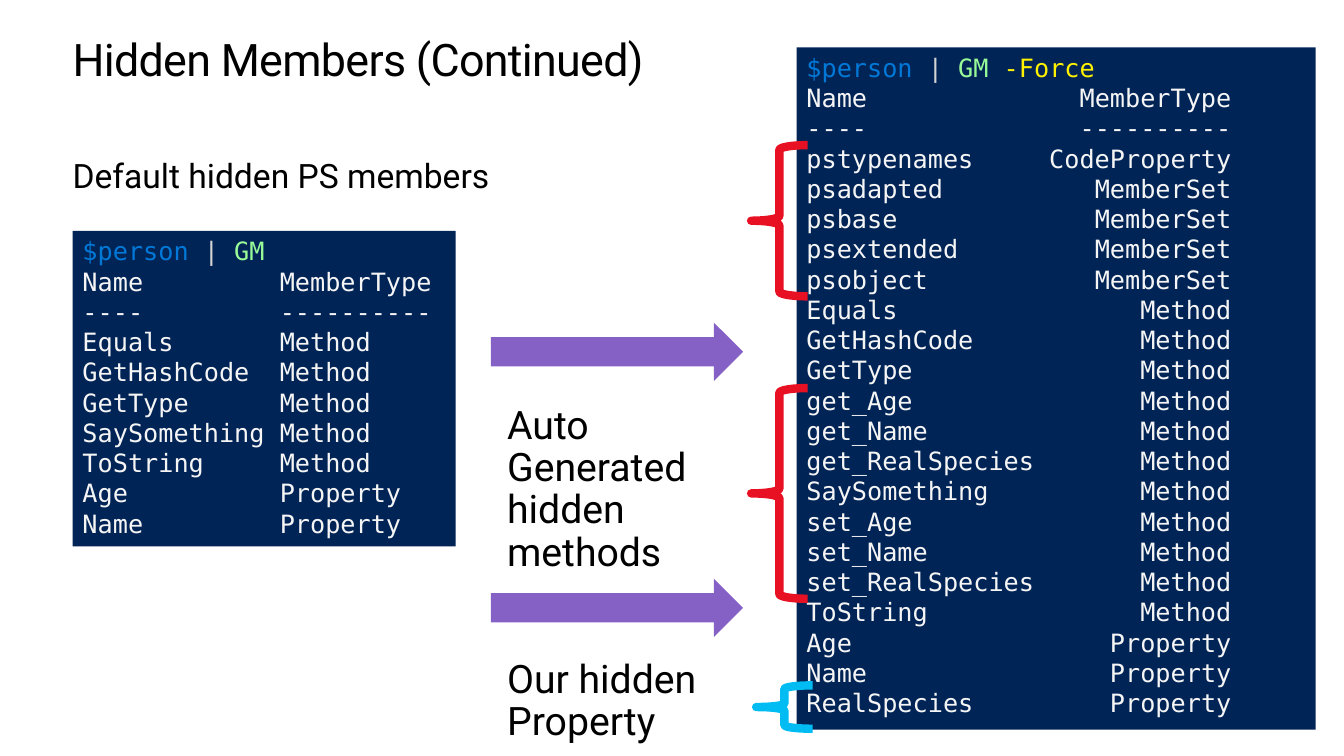
import pptx
import pptx.util
import pptx.dml.color
import pptx.enum.shapes
import pptx.enum.text
import pptx.oxml
import pptx.oxml.ns

Inches, Pt = pptx.util.Inches, pptx.util.Pt
SHAPE = pptx.enum.shapes.MSO_SHAPE

COLORS = {
    "black": "000000", "console": "012456", "variable": "0078D7",
    "pipe": "D3D3D3", "command": "98FB98", "switch": "FFF100",
    "output": "F5F5F5", "red": "E81123", "cyan": "00BCF2", "purple": "8661C5",
}
MONO, SANS = "DejaVu Sans Mono", "Roboto"
CHAR_WIDTH = 0.1505  # inches, one monospaced character at 18 pt

TITLE = "Hidden Members (Continued)"
SUBTITLE = "Default hidden PS members"
HEADER = [("Name", "MemberType"), ("----", "----------")]
COMMAND = [("$person ", "variable"), ("| ", "pipe")]

DEFAULT_MEMBERS = [
    ("Method", ["Equals", "GetHashCode", "GetType", "SaySomething", "ToString"]),
    ("Property", ["Age", "Name"]),
]
ALL_MEMBERS = [
    ("CodeProperty", ["pstypenames"]),
    ("MemberSet", ["psadapted", "psbase", "psextended", "psobject"]),
    ("Method", ["Equals", "GetHashCode", "GetType", "get_Age", "get_Name",
                "get_RealSpecies", "SaySomething", "set_Age", "set_Name",
                "set_RealSpecies", "ToString"]),
    ("Property", ["Age", "Name", "RealSpecies"]),
]
# box, end of the command, members, tab column in characters, tab alignment
CONSOLES = [
    ((0.72, 2.29, 3.8, 3.13), [("GM", "command")], DEFAULT_MEMBERS, 13, "l"),
    ((7.9, 0.47, 5.15, 6.77), [("GM ", "command"), ("-Force", "switch")],
     ALL_MEMBERS, 28, "r"),
]
BRACES = [
    ((7.45, 1.44, 0.56, 1.5), "red"),
    ((7.45, 3.85, 0.56, 2.09), "red"),
    ((7.5, 6.8, 0.56, 0.43), "cyan"),
]
NOTES = [
    ("Auto Generated hidden methods", (4.87, 3.92, 2.79, 1.9)),
    ("Our hidden Property", (4.87, 6.44, 3.17, 1.05)),
]
ARROW_TOPS = [3.2, 5.74]


def rgb(name):
    return pptx.dml.color.RGBColor.from_string(COLORS[name])


def add_shape(slide, kind, box, fill=None, line=None):
    sp = slide.shapes.add_shape(kind, *map(Inches, box))
    sp.shadow.inherit = False
    if fill:
        sp.fill.solid()
        sp.fill.fore_color.rgb = rgb(fill)
    else:
        sp.fill.background()
    if line:
        sp.line.color.rgb = rgb(line)
        sp.line.width = Pt(6)
    else:
        sp.line.fill.background()
    return sp


def write(sp, lines, font=SANS, size=18, insets=(0.1, 0.05), tab=None,
          line_spacing=None, before=None, tracking=None):
    """Fill a shape; each line is a list of (text, colour) runs."""
    tf = sp.text_frame
    tf.word_wrap = True
    tf.vertical_anchor = pptx.enum.text.MSO_ANCHOR.TOP
    tf.margin_left = tf.margin_right = Inches(insets[0])
    tf.margin_top = tf.margin_bottom = Inches(insets[1])
    for i, runs in enumerate(lines):
        p = tf.add_paragraph() if i else tf.paragraphs[0]
        p.alignment = pptx.enum.text.PP_ALIGN.LEFT
        if line_spacing:
            p.line_spacing = line_spacing
        if before:
            p.space_before = Pt(before)
        if tab:
            column, align = tab
            p._p.get_or_add_pPr().append(pptx.oxml.parse_xml(
                f'<a:tabLst {pptx.oxml.ns.nsdecls("a")}>'
                f'<a:tab pos="{Inches(column * CHAR_WIDTH)}" algn="{align}"/>'
                '</a:tabLst>'))
        for text, color in runs:
            r = p.add_run()
            r.text = text
            r.font.name = font
            r.font.size = Pt(size)
            r.font.color.rgb = rgb(color)
            if tracking:
                r._r.get_or_add_rPr().set("spc", str(round(tracking * 100)))


def add_text(slide, text, box, **fmt):
    sp = slide.shapes.add_textbox(*map(Inches, box))
    write(sp, [[(text, "black")]], **fmt)


def add_console(slide, box, command_end, members, column, align):
    rows = HEADER + [(name, kind) for kind, names in members for name in names]
    lines = [COMMAND + command_end]
    lines += [[("\t".join(row), "output")] for row in rows]
    sp = add_shape(slide, SHAPE.RECTANGLE, box, fill="console")
    write(sp, lines, font=MONO, tab=(column, align))


def main():
    prs = pptx.Presentation()
    prs.slide_width, prs.slide_height = Inches(13.33), Inches(7.5)
    slide = prs.slides.add_slide(prs.slide_layouts[6])

    add_text(slide, TITLE, (0.72, 0.35, 11.9, 0.5), size=32, insets=(0, 0),
             line_spacing=Pt(36.2), tracking=-0.5)
    add_text(slide, SUBTITLE, (0.72, 1.54, 11.9, 5.27), size=24, insets=(0, 0),
             before=6.7)
    for console in CONSOLES:
        add_console(slide, *console)
    for box, color in BRACES:
        add_shape(slide, SHAPE.LEFT_BRACE, box, line=color)
    for text, box in NOTES:
        add_text(slide, text, box, size=28, insets=(0.16, 0.1),
                 line_spacing=0.9, before=5.6)
    for top in ARROW_TOPS:
        add_shape(slide, SHAPE.RIGHT_ARROW, (4.87, top, 2.5, 0.58), fill="purple")

    prs.save("out.pptx")


if __name__ == "__main__":
    main()
